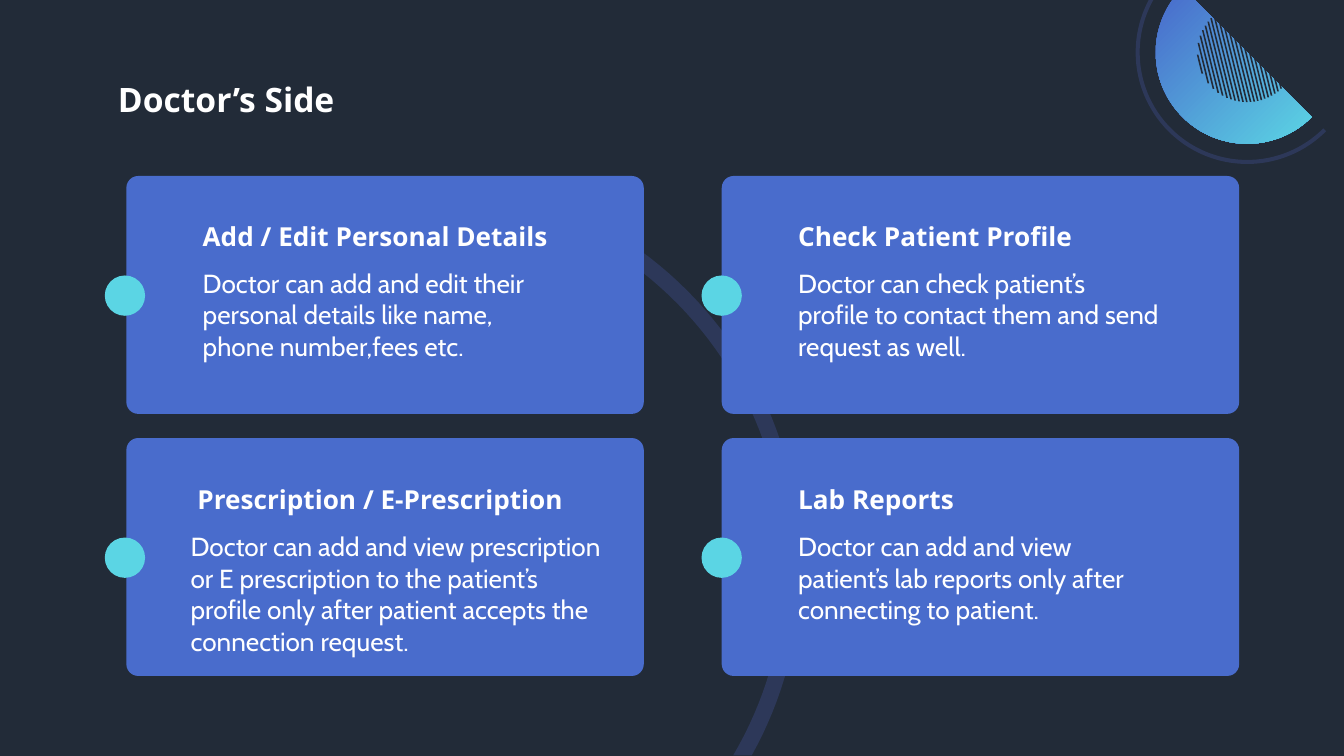
from math import asin, cos, degrees, radians, sin, sqrt

from pptx import Presentation
from pptx.dml.color import RGBColor
from pptx.enum.shapes import MSO_SHAPE
from pptx.enum.text import MSO_ANCHOR
from pptx.util import Inches, Pt

CARD_SHAPE, DOT_SHAPE = MSO_SHAPE.ROUNDED_RECTANGLE, MSO_SHAPE.OVAL
TOP, BOTTOM = MSO_ANCHOR.TOP, MSO_ANCHOR.BOTTOM
COLORS = {name: RGBColor.from_string(value) for name, value in {
    "night": "222B38", "ring": "2D3859", "card": "496CCC",
    "aqua": "5BD5E4", "white": "FFFFFF"}.items()}

prs = Presentation()
prs.slide_width = Inches(10)
prs.slide_height = Inches(10 * 9 / 16)
slide = prs.slides.add_slide(prs.slide_layouts[6])
slide.background.fill.solid()
slide.background.fill.fore_color.rgb = COLORS["night"]


def add_outline(points, color):
    corners = [(Inches(x), Inches(y)) for x, y in points]
    builder = slide.shapes.build_freeform(*corners[0], scale=1.0)
    builder.add_line_segments(corners[1:], close=True)
    outline = builder.convert_to_shape()
    outline.shadow.inherit = False
    outline.line.fill.background()
    outline.fill.solid()
    outline.fill.fore_color.rgb = COLORS[color]
    return outline


def add_text(text, left, top, width, height, font, size, bold, anchor=TOP):
    frame = slide.shapes.add_textbox(
        Inches(left), Inches(top), Inches(width), Inches(height)).text_frame
    frame.word_wrap = True
    frame.vertical_anchor = anchor
    frame.margin_left = frame.margin_right = Inches(0.1)
    frame.margin_top = frame.margin_bottom = Inches(0.1)
    run = frame.paragraphs[0].add_run()
    run.text = text
    run.font.name, run.font.size, run.font.bold = font, Pt(size), bold
    run.font.color.rgb = COLORS["white"]


# Arcs as centre, radius, start and end angle; angles run clockwise from the right
STEPS = 90
HUB_X, HUB_Y = 9.28, 0.39
hub_arcs = [(HUB_X, HUB_Y, r, 45, 180 + degrees(asin(HUB_Y / r)))
            for r in (0.68, 0.83, 0.8)]
big_arcs = [(3.06, 4.21, r, -130, degrees(asin(1.41 / r))) for r in (2.9, 2.78)]
half_disc, hub_outer, hub_inner, big_outer, big_inner = [
    [(x + r * cos(radians(start + (end - start) * i / STEPS)),
      y + r * sin(radians(start + (end - start) * i / STEPS)))
     for i in range(STEPS + 1)]
    for x, y, r, start, end in hub_arcs + big_arcs]

# Corner ornament: gradient half disc and thin ring
disc = add_outline(half_disc + [(8.89, 0)], "card")
disc.fill.gradient()
disc.fill.gradient_angle = 315
for stop, color, position in zip(disc.fill.gradient_stops, ("card", "aqua"), (0, 1)):
    stop.color.rgb = COLORS[color]
    stop.position = position
add_outline(hub_outer + hub_inner[::-1], "ring")

# Slanted stripes, each a chord of the ornament's inner circle
STRIPE_RADIUS, STRIPE_GAP, STRIPE_WIDTH = 0.37, 0.028, 0.012
SLANT_X, SLANT_Y = 0.24, 0.97
for i in range(21):
    middle = (i - 13) * STRIPE_GAP - 0.01
    half = sqrt(max(0, STRIPE_RADIUS ** 2 - (middle * SLANT_Y) ** 2))
    center = HUB_X + middle * SLANT_Y ** 2
    rise = HUB_Y - middle * SLANT_X * SLANT_Y
    add_outline([(center + end * half * SLANT_X + side * STRIPE_WIDTH / 2,
                  rise + end * half * SLANT_Y)
                 for end, side in ((-1, -1), (1, -1), (1, 1), (-1, 1))], "night")

# Large ring behind the cards
add_outline(big_outer + big_inner[::-1], "ring")

add_text("Doctor’s Side", 0.78, 0.49, 8.44, 0.63, "Open Sans", 18, True)

# Cards: column, row, heading, its left and width, body, its left and width
COLUMNS = [(0.94, 0.78), (5.37, 5.22)]  # card left, dot left
ROWS = [(1.31, 1.53, 2.05), (3.26, 3.49, 4)]  # card, heading and dot top
cards = [
    (0, 0, "Add / Edit Personal Details", 1.41, 2.91,
     "Doctor can add and edit their personal details like name, "
     "phone number,fees etc.", 1.41, 2.91),
    (0, 1, "Prescription / E-Prescription", 1.37, 3.04,
     "Doctor can add and view prescription or E prescription to the patient’s "
     "profile only after patient accepts the connection request.", 1.32, 3.33),
    (1, 0, "Check Patient Profile", 5.84, 2.91,
     "Doctor can check patient’s profile to contact them and send "
     "request as well.", 5.84, 2.89),
    (1, 1, "Lab Reports", 5.84, 2.91,
     "Doctor can add and view patient’s lab reports only after "
     "connecting to patient.", 5.84, 2.91),
]
for column, row, heading, head_left, head_width, body, body_left, body_width in cards:
    card_left, dot_left = COLUMNS[column]
    card_top, head_top, dot_top = ROWS[row]
    for kind, color, left, top, width, height in (
            (CARD_SHAPE, "card", card_left, card_top, 3.85, 1.77),
            (DOT_SHAPE, "aqua", dot_left, dot_top, 0.3, 0.3)):
        panel = slide.shapes.add_shape(
            kind, Inches(left), Inches(top), Inches(width), Inches(height))
        panel.shadow.inherit = False
        panel.fill.solid()
        panel.fill.fore_color.rgb = COLORS[color]
        panel.line.fill.background()
        if kind == CARD_SHAPE:
            panel.adjustments[0] = 0.05
    add_text(heading, head_left, head_top, head_width, 0.44,
             "Open Sans", 14, True, BOTTOM)
    add_text(body, body_left, head_top + 0.36, body_width, 0.96,
             "Cabin", 14, False)

prs.save("out.pptx")
